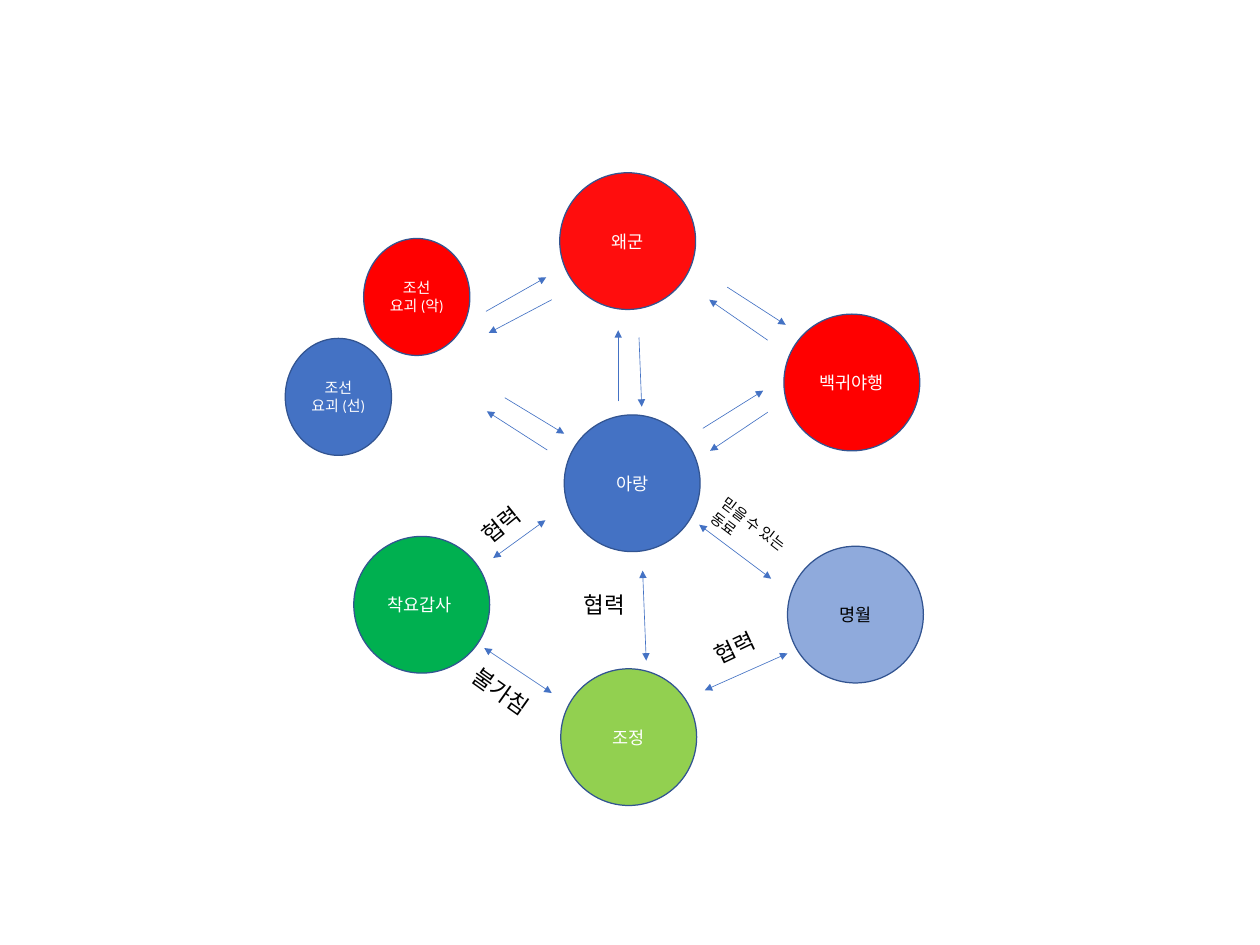
from lxml import etree
from pptx import Presentation
from pptx.dml.color import RGBColor
from pptx.enum import shapes, text
from pptx.oxml import ns
from pptx.util import Pt

FONT = "Calibri"
COLOURS = {
    "blue": "4472C4", "outline": "325491", "pale": "8FAADC", "green": "00B050",
    "lime": "92D050", "red": "FF0000", "bright": "FF0D0D",
    "white": "FFFFFF", "black": "000000",
}

# Circle kinds: width, height, text size
LARGE = (108.7, 109.4, 14)
SMALL = (85, 93.6, 12)

# Characters: name, left, top, kind, fill, text colour
CHARACTERS = [
    ("아랑", 451.4, 331.9, LARGE, "blue", "white"),
    ("명월", 630, 437, LARGE, "pale", "black"),
    ("착요갑사 ", 283, 429.1, LARGE, "green", "white"),
    ("조정", 448.6, 535, LARGE, "lime", "white"),
    ("백귀야행", 627.1, 251.3, LARGE, "red", "white"),
    ("왜군", 447.8, 138.2, LARGE, "bright", "white"),
    ("조선 요괴 (선)", 228.2, 270.7, SMALL, "blue", "white"),
    ("조선 요괴 (악)", 290.9, 190.8, SMALL, "red", "white"),
]

# Arrows: start x, start y, end x, end y
ONE_WAY = [
    (388.8, 249.1, 437, 221.8), (441.4, 239.8, 391, 266.4),
    (581.8, 229.7, 628.6, 259.9), (614.2, 272.2, 567.4, 239.8),
    (403.9, 318.2, 451.4, 347), (437.8, 360, 389.5, 329),
    (614.2, 329.8, 568.1, 360.7), (562.3, 342.7, 610.6, 312.5),
    (511.2, 270, 513.4, 325.4), (494.6, 321.1, 494.6, 264.2),
]
TWO_WAY = [
    (387.4, 518.4, 441.4, 554.4), (394.6, 446.4, 436.3, 416.2),
    (617, 463, 559.4, 419.8), (630, 522.7, 563.8, 552.2),
    (514.1, 456.5, 517, 528.5),
]

# Relationship labels: wording, left, top, width, height, rotation, text size
LABELS = [
    ("믿을 수 있는 동료", 559.4, 412.6, 93.6, 36, 37.2, 12),
    ("협력", 375.1, 399.6, 66.2, 28.8, 321, 18),
    ("협력", 563, 499.7, 66.2, 28.8, 334.7, 18),
    ("협력", 460.1, 469.4, 66.2, 28.8, 0, 18),
    ("불가침", 367.2, 544.3, 83.5, 28.8, 35.3, 18),
]


def rgb(name):
    return RGBColor.from_string(COLOURS[name])


def write(shape, wording, size, colour):
    frame = shape.text_frame
    frame.word_wrap = True
    frame.text = wording
    font = frame.paragraphs[0].runs[0].font
    font.name, font.size = FONT, Pt(size)
    font.color.rgb = rgb(colour)
    return frame


def add_character(slide, name, left, top, kind, fill, colour):
    width, height, size = kind
    circle = slide.shapes.add_shape(
        shapes.MSO_SHAPE.OVAL, Pt(left), Pt(top), Pt(width), Pt(height))
    circle.shadow.inherit = False
    circle.fill.solid()
    circle.fill.fore_color.rgb = rgb(fill)
    circle.line.color.rgb = rgb("outline")
    circle.line.width = Pt(1)
    frame = write(circle, name, size, colour)
    frame.vertical_anchor = text.MSO_ANCHOR.MIDDLE
    frame.paragraphs[0].alignment = text.PP_ALIGN.CENTER


def add_arrow(slide, ends, heads):
    arrow = slide.shapes.add_connector(
        shapes.MSO_CONNECTOR.STRAIGHT, *[Pt(value) for value in ends])
    arrow.line.color.rgb = rgb("blue")
    arrow.line.width = Pt(0.5)
    properties = arrow.element.spPr
    line = properties.find(ns.qn("a:ln"))
    for head in heads:
        etree.SubElement(line, ns.qn(head), type="triangle")
    etree.SubElement(properties, ns.qn("a:effectLst"))


def add_label(slide, wording, left, top, width, height, rotation, size):
    label = slide.shapes.add_textbox(Pt(left), Pt(top), Pt(width), Pt(height))
    label.rotation = rotation
    frame = write(label, wording, size, "black")
    frame.auto_size = text.MSO_AUTO_SIZE.SHAPE_TO_FIT_TEXT


def main():
    presentation = Presentation()
    presentation.slide_width = Pt(1008)
    presentation.slide_height = Pt(756)
    slide = presentation.slides.add_slide(presentation.slide_layouts[6])

    for character in CHARACTERS:
        add_character(slide, *character)
    for ends in ONE_WAY:
        add_arrow(slide, ends, ["a:tailEnd"])
    for ends in TWO_WAY:
        add_arrow(slide, ends, ["a:headEnd", "a:tailEnd"])
    for label in LABELS:
        add_label(slide, *label)

    presentation.save("out.pptx")


if __name__ == "__main__":
    main()
